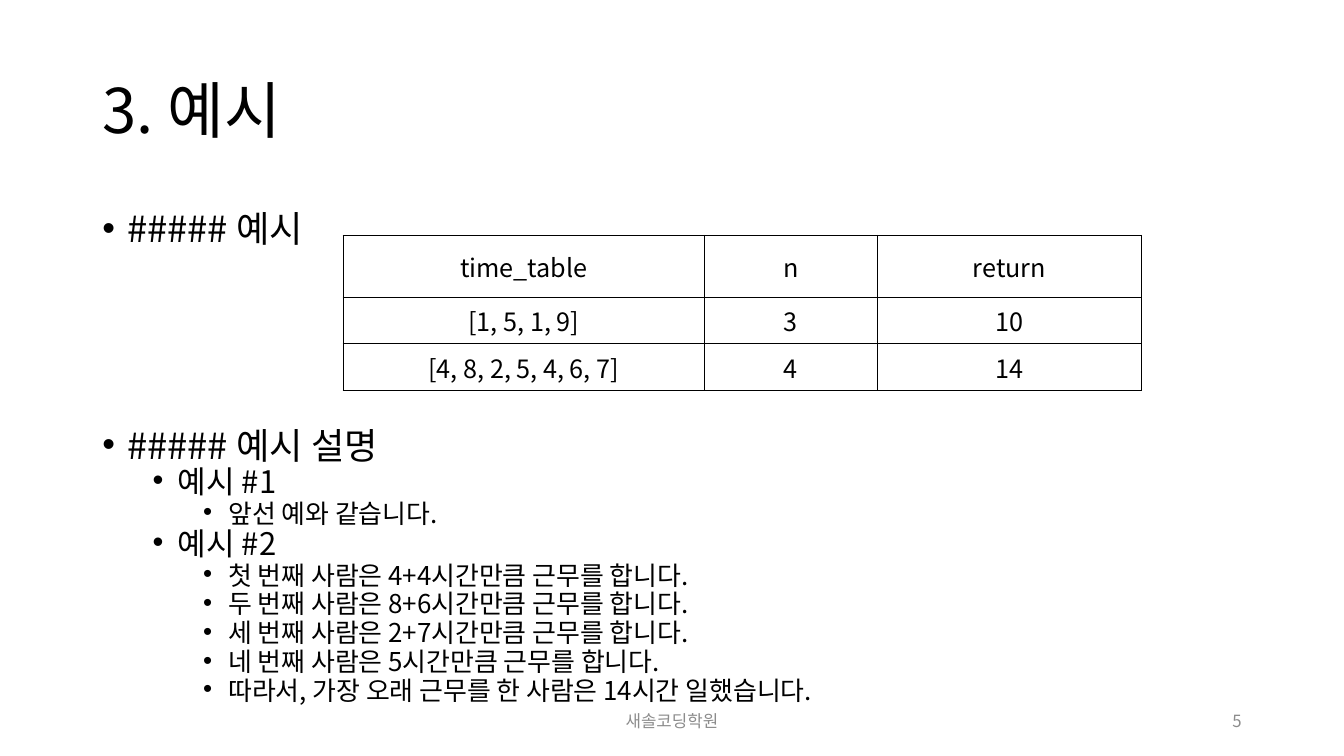
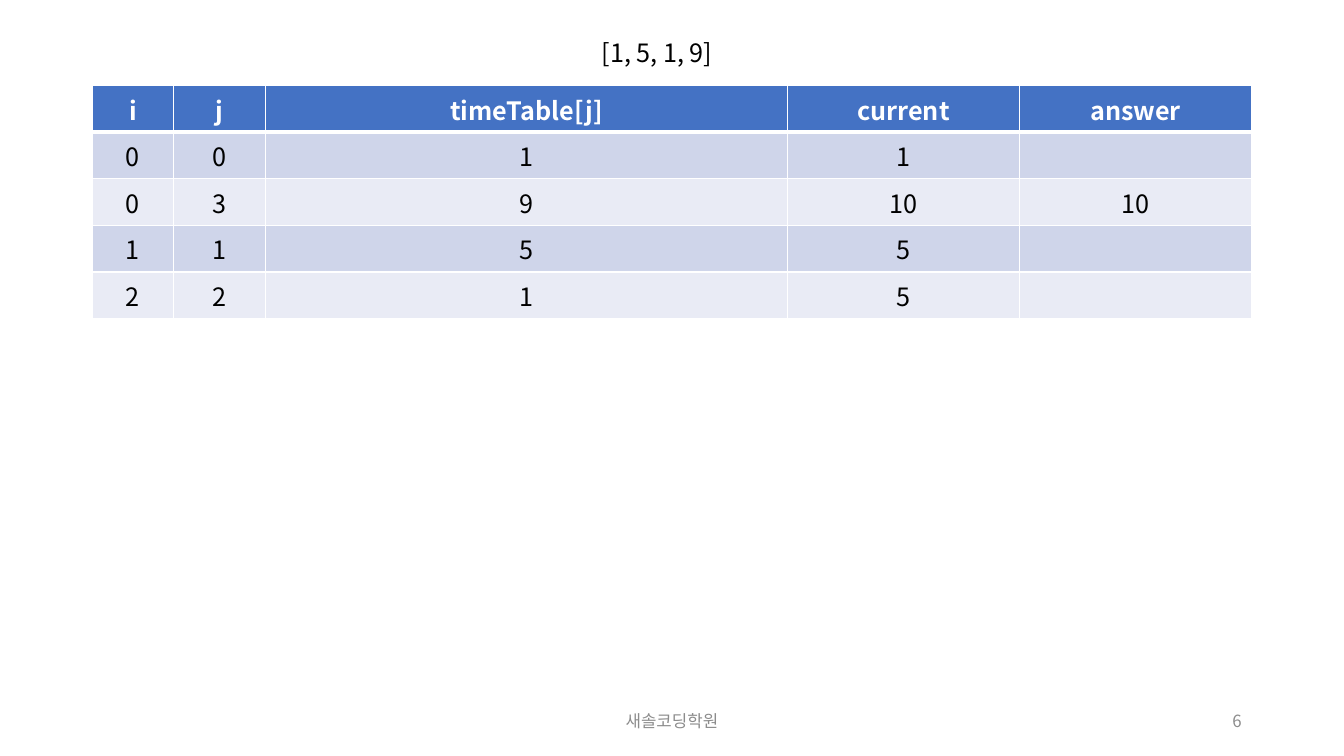
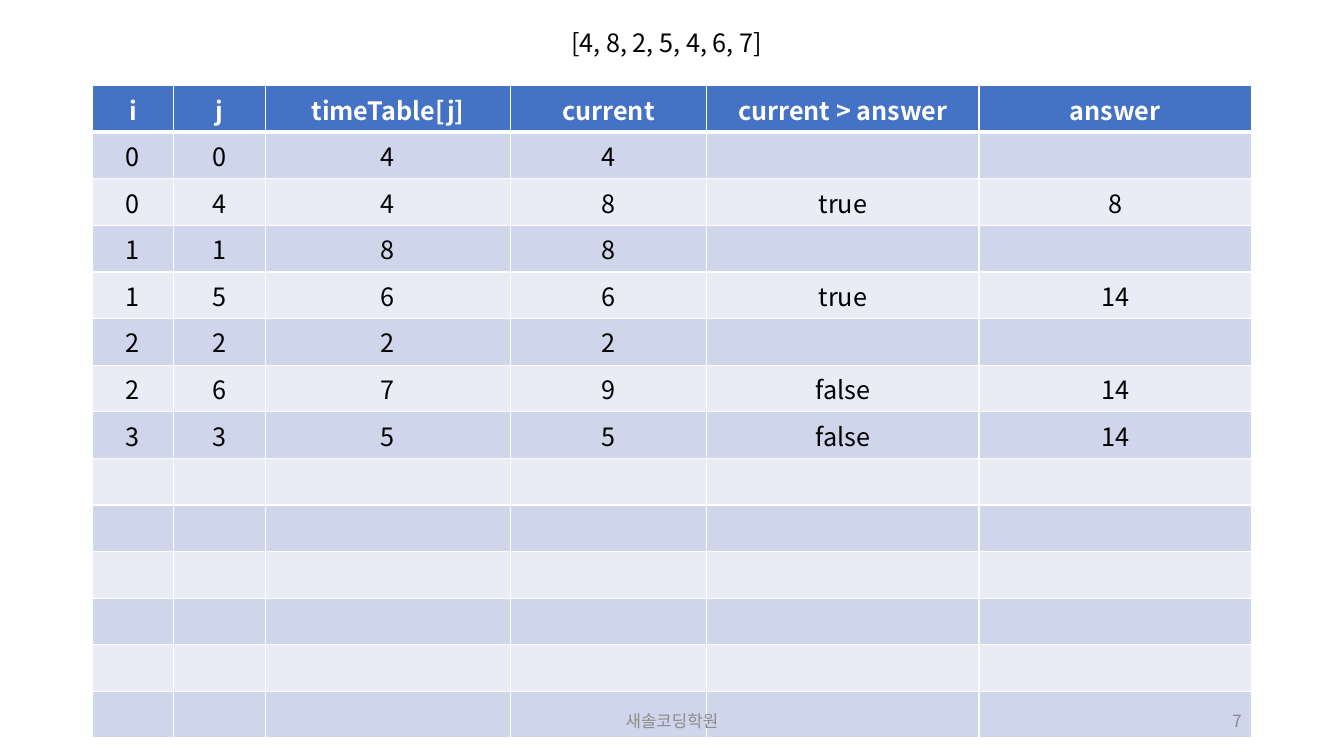
from lxml import etree
from pptx import Presentation
from pptx.dml.color import RGBColor
from pptx.enum.text import MSO_ANCHOR, PP_ALIGN
from pptx.oxml.ns import qn
from pptx.util import Pt

LEFT, MID, RIGHT = PP_ALIGN.LEFT, PP_ALIGN.CENTER, PP_ALIGN.RIGHT
TOP, CENTER = MSO_ANCHOR.TOP, MSO_ANCHOR.MIDDLE

FONT = "Noto Sans CJK KR"
BLACK, WHITE, GRAY = "000000", "FFFFFF", "8C8C8C"
BLUE, BANDS = "4472C4", ("CFD5EA", "E9EBF5")
EDGE, WIDE = 66, 828
ROW = 33.3
SIZES = (25.9, 22.2, 18.5)


def color(code):
    return RGBColor.from_string(code)


def write(para, text, size=18, ink=BLACK, bold=False, align=LEFT, lead=None, gap=0, kern=True):
    para.alignment = align
    para.space_before = Pt(gap)
    if lead:
        para.line_spacing = lead
    if text:
        run = para.add_run()
        run.text = text
        font = run.font
        font.size, font.bold, font.name = Pt(size), bold, FONT
        font.color.rgb = color(ink)
        props = run._r.get_or_add_rPr()
        etree.SubElement(props, qn("a:ea"), typeface=FONT)
        if not kern:
            props.set("kern", "0")


def bullet(para, level):
    props = para._p.get_or_add_pPr()
    props.set("marL", str(Pt(18 + 36 * level)))
    props.set("indent", str(Pt(-18)))
    etree.SubElement(props, qn("a:buFont"), typeface="Arial")
    etree.SubElement(props, qn("a:buChar"), char="•")


def border(cell, side, ink, width):
    line = etree.SubElement(cell._tc.get_or_add_tcPr(), qn("a:ln" + side), w=str(Pt(width)))
    fill = etree.SubElement(line, qn("a:solidFill"))
    etree.SubElement(fill, qn("a:srgbClr"), val=ink)


class Deck:
    def __init__(self):
        self.file = Presentation()
        self.file.slide_width, self.file.slide_height = Pt(960), Pt(540)
        self.slide = None

    def page(self):
        self.slide = self.file.slides.add_slide(self.file.slide_layouts[6])

    def box(self, x, y, w, h, anchor=TOP, wrap=True):
        frame = self.slide.shapes.add_textbox(Pt(x), Pt(y), Pt(w), Pt(h)).text_frame
        frame.word_wrap = wrap
        frame.vertical_anchor = anchor
        return frame

    def title(self, text):
        para = self.box(EDGE, 28.8, WIDE, 104.4, CENTER).paragraphs[0]
        write(para, text, size=44, lead=0.9, kern=False)

    def label(self, text, x, y, w):
        write(self.box(x, y, w, 28.8, wrap=False).paragraphs[0], text)

    def body(self, items):
        frame = self.box(EDGE, 144, WIDE, 367.2)
        for n, (level, text, lead, gap) in enumerate(items):
            para = frame.add_paragraph() if n else frame.paragraphs[0]
            bullet(para, level)
            write(para, text, size=SIZES[level], lead=lead, gap=gap, kern=False)

    def table(self, x, y, cols, rows, head=ROW, band=True):
        high = head + ROW * (len(rows) - 1)
        frame = self.slide.shapes.add_table(
            len(rows), len(cols), Pt(x), Pt(y), Pt(sum(cols)), Pt(high))
        grid = frame.table
        grid.first_row = grid.horz_banding = False
        for col, width in zip(grid.columns, cols):
            col.width = Pt(width)
        for r, row in enumerate(rows):
            grid.rows[r].height = Pt(ROW if r else head)
            texts = row + [""] * (len(cols) - len(row))
            for c, text in enumerate(texts):
                self.cell(grid.cell(r, c), text, r, band)

    def cell(self, cell, text, r, band):
        top = band and r == 0
        for side in "LRTB":
            border(cell, side, WHITE if band else BLACK, 3 if top and side == "B" else 1)
        if band:
            cell.fill.solid()
            cell.fill.fore_color.rgb = color(BLUE if top else BANDS[(r - 1) % 2])
        else:
            cell.fill.background()
        cell.vertical_anchor = CENTER
        write(cell.text_frame.paragraphs[0], text, ink=WHITE if top else BLACK,
              bold=top, align=MID)

    def footer(self, number):
        for text, x, w, align in (("새솔코딩학원", 318, 324, MID), (str(number), 678, 216, RIGHT)):
            para = self.box(x, 500.4, w, 28.8, CENTER).paragraphs[0]
            write(para, text, size=12, ink=GRAY, align=align)


def main():
    deck = Deck()

    deck.page()
    deck.title("3. 예시")
    notes = [
        (1, "예시 #1"),
        (2, "앞선 예와 같습니다."),
        (1, "예시 #2"),
        (2, "첫 번째 사람은 4+4시간만큼 근무를 합니다."),
        (2, "두 번째 사람은 8+6시간만큼 근무를 합니다."),
        (2, "세 번째 사람은 2+7시간만큼 근무를 합니다."),
        (2, "네 번째 사람은 5시간만큼 근무를 합니다."),
        (2, "따라서, 가장 오래 근무를 한 사람은 14시간 일했습니다."),
    ]
    deck.body([(0, "##### 예시", 1, 0), (0, "##### 예시 설명", 0.7, 132.3)]
              + [(level, text, 0.7, 5) for level, text in notes])
    deck.table(245.2, 168.2, [258, 123.4, 189], [
        ["time_table", "n", "return"],
        ["[1, 5, 1, 9]", "3", "10"],
        ["[4, 8, 2, 5, 4, 6, 7]", "4", "14"],
    ], head=44.1, band=False)
    deck.footer(5)

    deck.page()
    deck.table(EDGE, 61.2, [58, 65.7, 372.9, 165.7, 165.7], [
        ["i", "j", "timeTable[j]", "current", "answer"],
        ["0", "0", "1", "1"],
        ["0", "3", "9", "10", "10"],
        ["1", "1", "5", "5"],
        ["2", "2", "1", "5"],
    ])
    deck.footer(6)
    deck.label("[1, 5, 1, 9]", 422.6, 23, 97.2)

    deck.page()
    steps = [
        ["i", "j", "timeTable[j]", "current", "current > answer", "answer"],
        ["0", "0", "4", "4"],
        ["0", "4", "4", "8", "true", "8"],
        ["1", "1", "8", "8"],
        ["1", "5", "6", "6", "true", "14"],
        ["2", "2", "2", "2"],
        ["2", "6", "7", "9", "false", "14"],
        ["3", "3", "5", "5", "false", "14"],
    ]
    deck.table(EDGE, 61.2, [58, 65.7, 174.9, 140.2, 194.6, 194.6], steps + [[]] * 6)
    deck.footer(7)
    deck.label("[4, 8, 2, 5, 4, 6, 7]", 401, 16.2, 158.4)

    deck.file.save("out.pptx")


if __name__ == "__main__":
    main()
